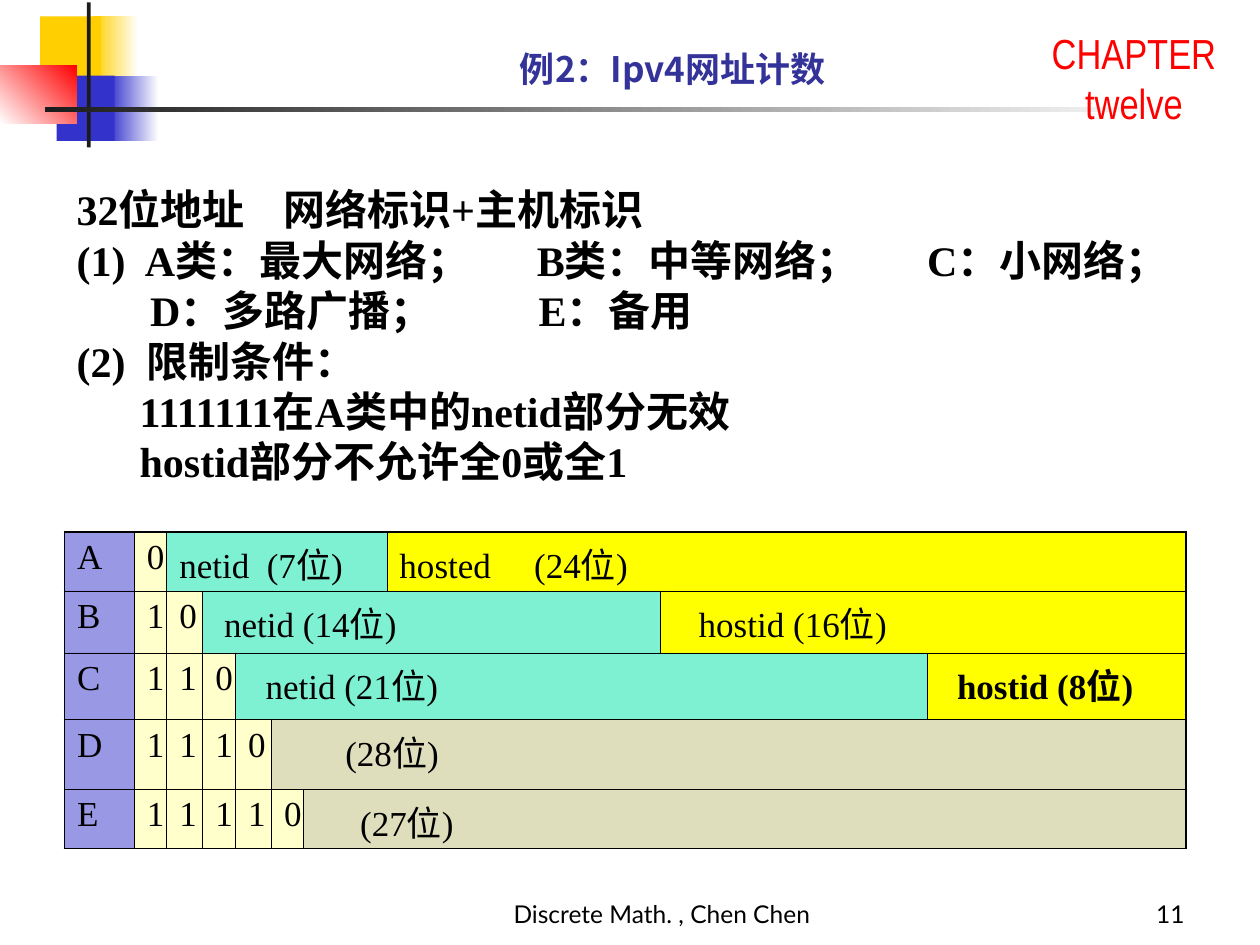
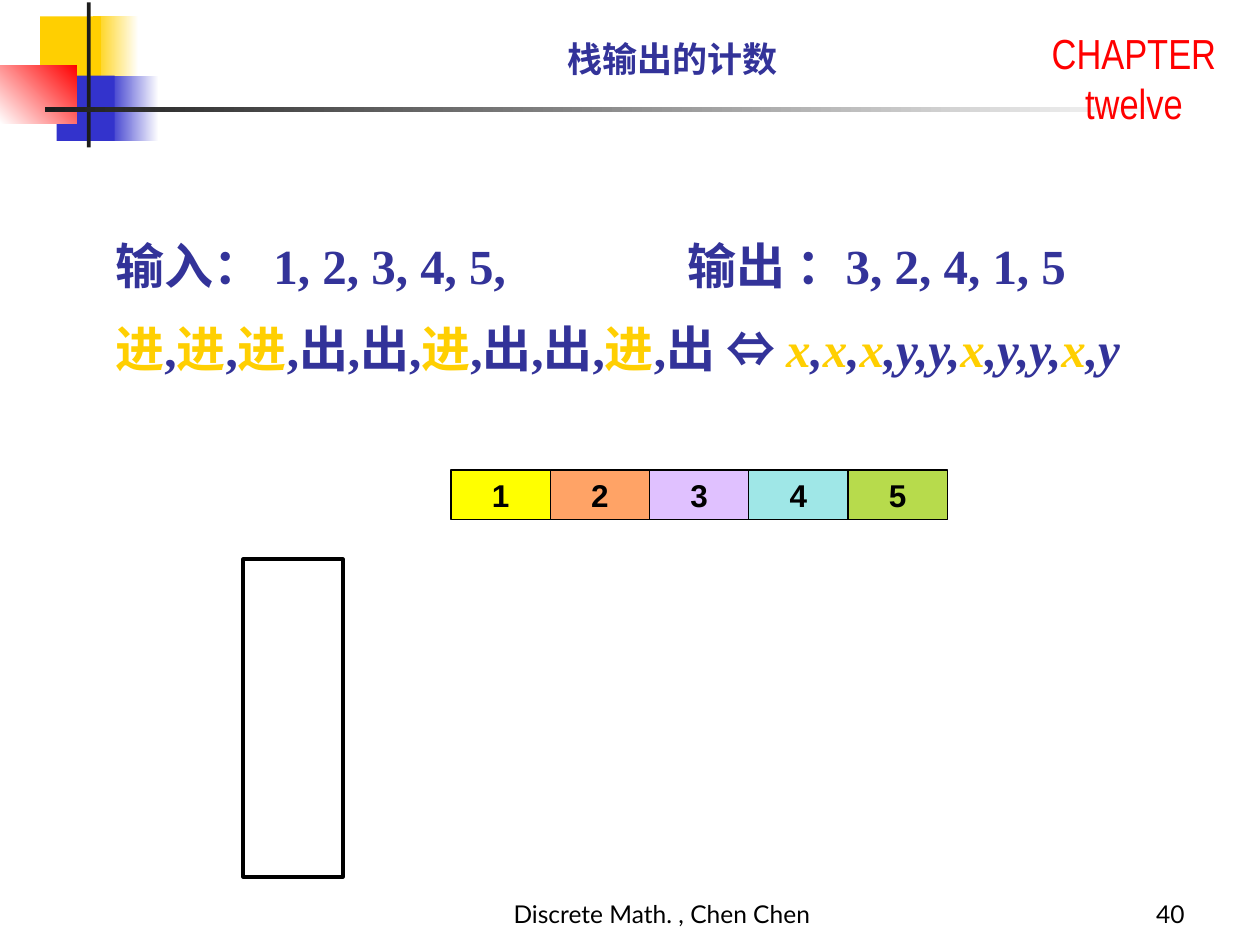
from itertools import accumulate

from lxml import etree
from pptx import Presentation
from pptx.dml.color import RGBColor
from pptx.enum import shapes, text
from pptx.oxml import ns
from pptx.util import Pt

COLORS = {
    "white": "FFFFFF", "black": "000000", "ink": "1C1C1C", "red": "FF0000",
    "gold": "FFCF01", "blue": "3333CC", "navy": "333399", "yellow": "FFFF00",
    "cream": "FFFF99", "mint": "00E4A8", "sand": "DFDEBC", "orange": "FF6600",
    "lilac": "CC99FF", "teal": "33CCCC", "lime": "99CC00",
}
SERIF, SANS, CJK = "Times New Roman", "Arial", "Noto Sans CJK SC"
LEFT, CENTER, RIGHT = text.PP_ALIGN.LEFT, text.PP_ALIGN.CENTER, text.PP_ALIGN.RIGHT
TOP, MIDDLE, BOTTOM = text.MSO_ANCHOR.TOP, text.MSO_ANCHOR.MIDDLE, text.MSO_ANCHOR.BOTTOM

# Shared by both slides: box (left, top, width, height), fill colours, gradient angle
ORNAMENT = [
    ((53.3, 9.4, 25.9, 37.4), ("white", "gold"), 180),
    ((61.9, 43.2, 28.8, 37.4), ("white", "blue"), 180),
    ((23, 9.4, 34.6, 37.4), ("gold",), None),
    ((32.4, 43.2, 33.1, 37.4), ("blue",), None),
    ((0, 37.4, 44, 33.1), ("red", "white"), 225),
    ((49.7, 1.4, 2.2, 82.8), ("ink",), None),
    ((25.9, 61.2, 648, 2.9), ("white", "ink"), 180),
]
CHAPTER = "CHAPTER twelve"
FOOTER = "Discrete Math. , Chen Chen"
TITLE_BOX = (77.8, 12.2, 613.4, 42.5)

# Slide on address counting
ADDRESS_TITLE = "例2：Ipv4网址计数"
ADDRESS_RULES = [  # text, tab stops
    ("32位地址\t网络标识+主机标识", [118]),
    ("(1)\tA类：最大网络；\tB类：中等网络；\tC：小网络；", [39, 263, 486]),
    ("\tD：多路广播；\tE：备用", [42, 264]),
    ("(2)\t限制条件：", [40]),
    ("\t1111111在A类中的netid部分无效", [36]),
    ("\thostid部分不允许全0或全1", [36]),
]
ADDRESS_CLASSES = [  # class, prefix bits, fields: (text, columns, fill, indent)
    ("A", "0", [("netid\t(7位)", 5, "mint", 0), ("hosted\t(24位)", 3, "yellow", 0)]),
    ("B", "10", [("netid (14位)", 5, "mint", 5), ("hostid (16位)", 2, "yellow", 15)]),
    ("C", "110", [("netid (21位)", 5, "mint", 10), ("hostid (8位)", 1, "yellow", 10)]),
    ("D", "1110", [("(28位)", 5, "sand", 35)]),
    ("E", "11110", [("(27位)", 4, "sand", 25)]),
]
FIELD_TABS = {"netid\t(7位)": [50], "hosted\t(24位)": [77]}
BOLD_FIELD = "hostid (8位)"
FORMAT_COLUMNS = [39.9, 18.5, 20.6, 18.7, 20.6, 18.5, 47.5, 156, 152.6, 148]
FORMAT_ROWS = [33.8, 35.4, 38.2, 39.8, 33.8]

# Slide on stack output
STACK_TITLE = "栈输出的计数"
SEQUENCES = "输入： 1, 2, 3, 4, 5,\t输出 ：3, 2, 4, 1, 5"
MOVES = "xxxyyxyyxy"
MOVE_NAMES = {"x": "进", "y": "出"}
MOVE_COLORS = {"x": "gold", "y": "navy"}
QUEUE = [("1", "yellow", 100), ("2", "orange", 60), ("3", "lilac", 60),
         ("4", "teal", 47), ("5", "lime", 70)]  # label, fill, opacity


def rgb(name):
    return RGBColor.from_string(COLORS[name])


def fill_solid(fill, color, holder, opacity=100):
    """Fill with one colour; holder is the XML element in which the fill sits."""
    fill.solid()
    fill.fore_color.rgb = rgb(color)
    if opacity < 100:
        srgb = next(holder.iter(ns.qn("a:srgbClr")))
        etree.SubElement(srgb, ns.qn("a:alpha"), val=str(opacity * 1000))


def add_run(paragraph, words, size, font, color, bold=False, italic=False):
    run = paragraph.add_run()
    run.text = words
    run.font.size, run.font.name = Pt(size), font
    run.font.bold, run.font.italic = bold, italic
    run.font.color.rgb = rgb(color)
    latin = run.font._element.find(ns.qn("a:latin"))
    east_asian = etree.Element(ns.qn("a:ea"), typeface=CJK)
    latin.addnext(east_asian)


def set_tabs(paragraph, stops):
    tab_list = etree.SubElement(paragraph._p.get_or_add_pPr(), ns.qn("a:tabLst"))
    for stop in stops:
        etree.SubElement(tab_list, ns.qn("a:tab"), pos=str(Pt(stop)), algn="l")


def add_box(slide, box, anchor=TOP):
    frame = slide.shapes.add_textbox(*map(Pt, box)).text_frame
    frame.word_wrap = True
    frame.vertical_anchor = anchor
    return frame


def add_label(slide, box, words, size, font, color, align, anchor=BOTTOM, bold=False):
    paragraph = add_box(slide, box, anchor).paragraphs[0]
    paragraph.alignment = align
    add_run(paragraph, words, size, font, color, bold)


def add_rect(slide, box):
    rect = slide.shapes.add_shape(shapes.MSO_SHAPE.RECTANGLE, *map(Pt, box))
    rect.shadow.inherit = False
    return rect


def outline(rect, width):
    rect.line.color.rgb = rgb("black")
    rect.line.width = Pt(width)


def add_themed_slide(deck, title, title_font, title_anchor, number):
    """Blank slide with the corner ornament, chapter mark, title and footer."""
    slide = deck.slides.add_slide(deck.slide_layouts[6])
    for box, colors, angle in ORNAMENT:
        rect = add_rect(slide, box)
        rect.line.fill.background()
        if angle is None:
            fill_solid(rect.fill, colors[0], rect._element.spPr)
        else:
            rect.fill.gradient()
            rect.fill.gradient_angle = angle
            for stop, color in zip(rect.fill.gradient_stops, colors):
                stop.color.rgb = rgb(color)
    add_label(slide, (576, 12.2, 144, 64.8), CHAPTER, 24, "Arial Narrow", "red", CENTER, TOP)
    add_label(slide, TITLE_BOX, title, 20, title_font, "navy", CENTER, title_anchor, True)
    add_label(slide, (264.2, 498.2, 228.2, 36), FOOTER, 14, "Lato", "black", CENTER)
    add_label(slide, (534.2, 498.2, 149.8, 36), number, 14, "Lato", "black", RIGHT)
    return slide


def set_borders(cell, outer_sides):
    """Thick black lines on the outer sides of the table, thin ones elsewhere."""
    for position, side in enumerate("LRTB"):
        width = 1.08 if side in outer_sides else 0.45
        line = etree.Element(ns.qn(f"a:ln{side}"), w=str(Pt(width)))
        solid = etree.SubElement(line, ns.qn("a:solidFill"))
        etree.SubElement(solid, ns.qn("a:srgbClr"), val=COLORS["black"])
        cell._tc.get_or_add_tcPr().insert(position, line)


def add_address_formats(slide):
    row_count, column_count = len(FORMAT_ROWS), len(FORMAT_COLUMNS)
    table = slide.shapes.add_table(
        row_count, column_count, Pt(36.9), Pt(303.9),
        Pt(sum(FORMAT_COLUMNS)), Pt(sum(FORMAT_ROWS))).table
    table.first_row = table.horz_banding = False
    for column, width in zip(table.columns, FORMAT_COLUMNS):
        column.width = Pt(width)
    for row, height in zip(table.rows, FORMAT_ROWS):
        row.height = Pt(height)

    for r, (name, prefix, fields) in enumerate(ADDRESS_CLASSES):
        entries = [(name, 1, "blue", 0)]
        entries += [(bit, 1, "cream", 0) for bit in prefix] + fields
        starts = accumulate((entry[1] for entry in entries), initial=0)
        for (words, span, color, indent), start in zip(entries, starts):
            end = start + span
            outer = "".join(side for side, is_outer in (
                ("L", start == 0), ("R", end == column_count),
                ("T", r == 0), ("B", r == row_count - 1)) if is_outer)
            opacity = 50 if color in ("blue", "cream", "mint") else 100
            for c in range(start, end):
                part = table.cell(r, c)
                fill_solid(part.fill, color, part._tc.get_or_add_tcPr(), opacity)
                set_borders(part, outer)
            cell = table.cell(r, start)
            if span > 1:
                cell.merge(table.cell(r, end - 1))
            paragraph = cell.text_frame.paragraphs[0]
            paragraph.alignment = CENTER if start == 1 else LEFT
            if indent:
                paragraph._p.get_or_add_pPr().set("marL", str(Pt(indent)))
            if words in FIELD_TABS:
                set_tabs(paragraph, FIELD_TABS[words])
            add_run(paragraph, words, 20, SERIF, "black", words == BOLD_FIELD)


def build_address_slide(deck):
    slide = add_themed_slide(deck, ADDRESS_TITLE, CJK, BOTTOM, "11")
    add_address_formats(slide)
    frame = add_box(slide, (36.7, 101.5, 646.6, 180), MIDDLE)
    for i, (words, stops) in enumerate(ADDRESS_RULES):
        paragraph = frame.add_paragraph() if i else frame.paragraphs[0]
        set_tabs(paragraph, stops)
        add_run(paragraph, words, 24, SERIF, "black", True)


def add_moves(paragraph, names, italic):
    for i, move in enumerate(MOVES):
        if i:
            add_run(paragraph, ",", 28, SERIF, "navy", True, italic)
        add_run(paragraph, names[move], 28, SERIF, MOVE_COLORS[move], True, italic)


def build_stack_slide(deck):
    slide = add_themed_slide(deck, STACK_TITLE, "Montserrat", MIDDLE, "40")
    frame = add_box(slide, (59, 113.8, 652.3, 122.4), MIDDLE)
    sequences = frame.paragraphs[0]
    set_tabs(sequences, [327])
    add_run(sequences, SEQUENCES, 28, SERIF, "navy", True)
    moves = frame.add_paragraph()
    moves.space_before = Pt(14)
    add_moves(moves, MOVE_NAMES, False)
    add_run(moves, " ", 28, SERIF, "navy", True)
    add_run(moves, "⇔ ", 28, SANS, "navy", True)
    add_moves(moves, {move: move for move in MOVE_NAMES}, True)

    stack = add_rect(slide, (139, 319.7, 56.9, 181.4))
    fill_solid(stack.fill, "white", stack._element.spPr)
    outline(stack, 2.25)

    item_width = 56.7
    for i, (label, color, opacity) in enumerate(QUEUE):
        item = add_rect(slide, (257.8 + i * item_width, 268.6, item_width, 28.1))
        fill_solid(item.fill, color, item._element.spPr, opacity)
        outline(item, 0.75)
        item.text_frame.word_wrap = False
        item.text_frame.vertical_anchor = MIDDLE
        paragraph = item.text_frame.paragraphs[0]
        paragraph.alignment = CENTER
        add_run(paragraph, label, 18, SANS, "black", True)


def main():
    deck = Presentation()
    deck.slide_width, deck.slide_height = Pt(720), Pt(540)
    build_address_slide(deck)
    build_stack_slide(deck)
    deck.save("out.pptx")


if __name__ == "__main__":
    main()
